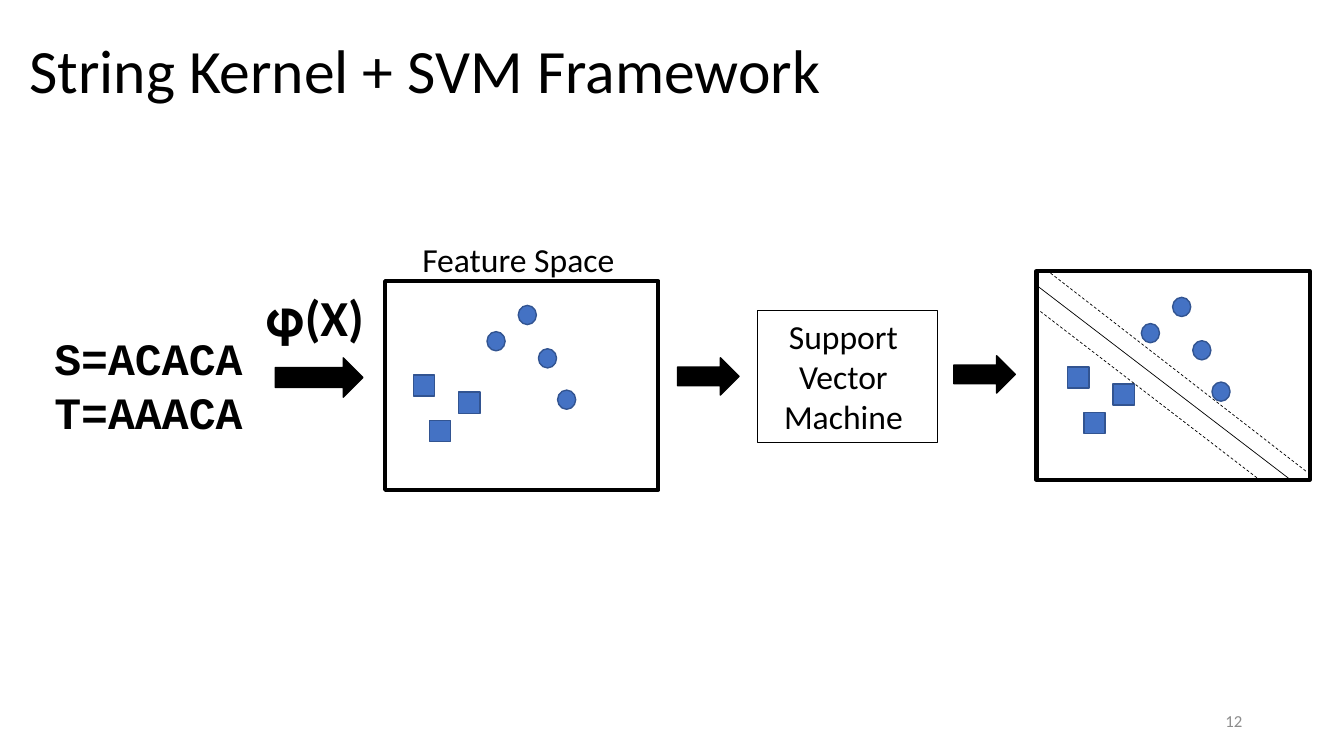
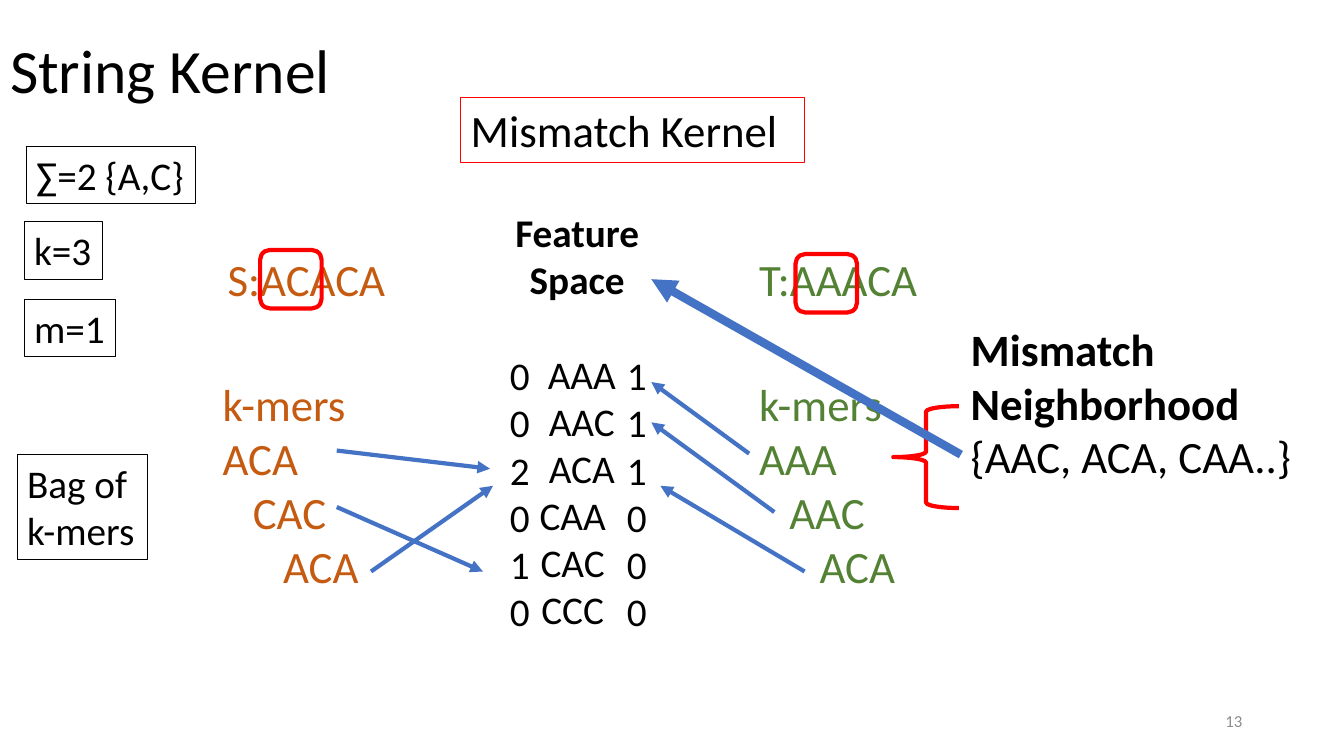
from lxml.etree import SubElement
from pptx import Presentation
from pptx.dml.color import RGBColor
from pptx.enum.dml import MSO_LINE
from pptx.enum.shapes import MSO_CONNECTOR, MSO_SHAPE
from pptx.enum.text import MSO_ANCHOR, MSO_AUTO_SIZE, PP_ALIGN
from pptx.oxml.ns import qn
from pptx.util import Inches, Pt

BLACK = RGBColor(0x00, 0x00, 0x00)
WHITE = RGBColor(0xFF, 0xFF, 0xFF)
RED = RGBColor(0xFF, 0x00, 0x00)
BLUE = RGBColor(0x44, 0x72, 0xC4)
DARK_BLUE = RGBColor(0x32, 0x54, 0x91)
ORANGE = RGBColor(0xC5, 0x5A, 0x11)
GREEN = RGBColor(0x54, 0x82, 0x35)
GRAY = RGBColor(0x8C, 0x8C, 0x8C)
BODY_FONT = "Calibri"
CODE_FONT = "Courier New"

CIRCLES = [(1.01, 0.5), (1.32, 0.24), (1.52, 0.67), (1.71, 1.08)]
SQUARES = [(0.28, 0.93), (0.73, 1.1), (0.44, 1.38)]


def format_runs(paras, size, color=BLACK, bold=False, font=BODY_FONT):
    """Give every run of the paragraphs the same character format."""
    for para in paras:
        for span in para.runs:
            span.font.name = font
            span.font.size = Pt(size)
            span.font.bold = bold
            span.font.color.rgb = color


def indent(para, left=0, right=0):
    """Indent a paragraph from either side of its box."""
    properties = para._p.get_or_add_pPr()
    properties.set("marL", str(Inches(left)))
    properties.set("marR", str(Inches(right)))


def add_text(page, text, at, size, color=BLACK, bold=False, font=BODY_FONT,
             align=PP_ALIGN.LEFT, wrap=True, border=None):
    """Add a text box that grows with its text, optionally framed."""
    box = page.shapes.add_textbox(*map(Inches, at))
    frame = box.text_frame
    frame.text = text
    frame.word_wrap = wrap
    frame.auto_size = MSO_AUTO_SIZE.SHAPE_TO_FIT_TEXT
    for para in frame.paragraphs:
        para.alignment = align
    format_runs(frame.paragraphs, size, color, bold, font)
    if border is not None:
        box.line.color.rgb = border
        box.line.width = Pt(0.75)
    return box


def add_shape(page, kind, at, fill, line, width):
    """Add a flat preset shape; without a fill it is see-through."""
    shape = page.shapes.add_shape(kind, *map(Inches, at))
    shape.shadow.inherit = False
    if fill is None:
        shape.fill.background()
    else:
        shape.fill.solid()
        shape.fill.fore_color.rgb = fill
    shape.line.color.rgb = line
    shape.line.width = Pt(width)
    return shape


def add_line(page, start, end, color, width):
    """Add a straight connector without a shadow."""
    line = page.shapes.add_connector(
        MSO_CONNECTOR.STRAIGHT, *map(Inches, (*start, *end)))
    line.line.color.rgb = color
    line.line.width = Pt(width)
    SubElement(line._element.spPr, qn("a:effectLst"))
    return line


def add_arrow(page, start, end, width=3):
    """Add a blue connector with a triangular head at its end."""
    arrow = add_line(page, start, end, BLUE, width)
    head = SubElement(arrow.line._get_or_add_ln(), qn("a:tailEnd"))
    head.set("type", "triangle")
    return arrow


def add_scatter(page, panel, origin):
    """Add a framed panel with the two classes of points."""
    add_shape(page, MSO_SHAPE.RECTANGLE, (*panel, 2.71, 2.07), WHITE, BLACK, 3)
    left, top = origin
    for kind, offsets, size in ((MSO_SHAPE.OVAL, CIRCLES, (0.18, 0.19)),
                                (MSO_SHAPE.RECTANGLE, SQUARES, (0.21, 0.21))):
        for x, y in offsets:
            add_shape(page, kind, (left + x, top + y, *size), BLUE, DARK_BLUE, 1)


def add_page(deck, title, left, number):
    """Add a slide with its title and page number."""
    page = deck.slides.add_slide(deck.slide_layouts[5])
    heading = page.shapes.title
    heading.left, heading.top = Inches(left), Inches(0)
    heading.width, heading.height = Inches(11.5), Inches(1.45)
    frame = heading.text_frame
    frame.text = title
    frame.auto_size = MSO_AUTO_SIZE.NONE
    frame.vertical_anchor = MSO_ANCHOR.MIDDLE
    frame.paragraphs[0].alignment = PP_ALIGN.LEFT
    frame.paragraphs[0].line_spacing = 0.9
    format_runs(frame.paragraphs, 44)
    footer = add_text(page, str(number), (9.42, 6.95, 3, 0.4), 12, GRAY,
                      align=PP_ALIGN.RIGHT)
    footer.text_frame.auto_size = MSO_AUTO_SIZE.NONE
    footer.text_frame.vertical_anchor = MSO_ANCHOR.MIDDLE
    return page


def build_framework(deck):
    """Build the slide that leads from strings to a separated feature space."""
    page = add_page(deck, "String Kernel + SVM Framework", 0.19, 12)
    add_text(page, "S=ACACA\nT=AAACA", (0.44, 3.23, 3.48, 1.18), 32,
             bold=True, font=CODE_FONT)
    add_text(page, "𝛗(X)", (2.53, 2.79, 1.18, 0.71), 36, bold=True,
             align=PP_ALIGN.CENTER, wrap=False)
    for at in ((2.73, 3.55, 0.87, 0.39), (6.72, 3.55, 0.61, 0.37),
               (9.46, 3.53, 0.61, 0.37)):
        add_shape(page, MSO_SHAPE.RIGHT_ARROW, at, BLACK, BLACK, 1)
    add_scatter(page, (3.82, 2.79), (3.82, 2.79))
    add_text(page, "Feature Space", (4.09, 2.32, 2.7, 0.5), 24)
    machine = add_text(page, "Support\nVector\nMachine", (7.51, 3.08, 1.79, 1.31),
                       24, align=PP_ALIGN.CENTER, border=BLACK)
    for para in machine.text_frame.paragraphs[:2]:
        indent(para, right=0.08)
    add_scatter(page, (10.28, 2.69), (10.31, 2.71))
    add_line(page, (10.28, 2.83), (12.8, 4.76), BLACK, 0.5)
    for start, end in (((10.42, 2.71), (12.96, 4.68)),
                       ((10.28, 3.06), (12.48, 4.75))):
        margin = add_line(page, start, end, BLACK, 0.5)
        margin.line.dash_style = MSO_LINE.DASH


def add_string(page, text, kmers, color, text_left, kmers_at, window):
    """Add a string with its marked window and its staggered k-mers."""
    add_text(page, text, (text_left, 2.45, 3.74, 0.64), 32, color)
    box = add_text(page, "\n".join(["k-mers", *kmers]), kmers_at, 32, color)
    for step, para in enumerate(box.text_frame.paragraphs[1:]):
        indent(para, left=0.3 * step)
    add_shape(page, MSO_SHAPE.ROUNDED_RECTANGLE, (*window, 0.61, 0.58),
              None, RED, 3)


def add_feature_space(page):
    """Add the k-mer list with the counts of both strings beside it."""
    kmers = ["AAA", "AAC", "ACA", "CAA", "CAC", "CCC"]
    box = add_text(page, "\n".join(["Feature Space", *kmers]),
                   (4.99, 2.02, 1.47, 4.34), 28, bold=True,
                   align=PP_ALIGN.CENTER)
    rows = box.text_frame.paragraphs[1:]
    format_runs(rows, 28)
    rows[0].space_before = Pt(34)
    for para in rows[:3]:
        indent(para, left=0.09)
    for para in rows[3:]:
        indent(para, right=0.09)
    for left, counts in ((4.96, "002010"), (6.12, "111000")):
        add_text(page, "\n".join(counts), (left, 3.44, 0.53, 2.93), 28)
    return box


def build_mismatch(deck):
    """Build the slide that counts k-mers with the mismatch kernel."""
    page = add_page(deck, "String Kernel", 0, 13)
    for text, at in (("∑=2 {A,C}", (0.26, 1.45, 1.68, 0.57)),
                     ("k=3", (0.24, 2.2, 0.78, 0.57)),
                     ("m=1", (0.24, 2.97, 0.91, 0.57)),
                     ("Bag of\nk-mers", (0.17, 4.51, 1.29, 1.04))):
        add_text(page, text, at, 28, wrap=False, border=BLACK)
    add_text(page, "Mismatch Kernel", (4.57, 0.97, 3.41, 0.64), 32, border=RED)
    add_string(page, "S:ACACA", ["ACA", "CAC", "ACA"], ORANGE, 2.16,
               (2.11, 3.69, 2.17, 2.26), (2.58, 2.48))
    add_string(page, "T:AAACA", ["AAA", "AAC", "ACA"], GREEN, 7.43,
               (7.43, 3.69, 2.02, 2.26), (7.89, 2.52))
    features = add_feature_space(page)
    for start, end in (((3.34, 4.47), (4.86, 4.65)),
                       ((3.34, 5.03), (4.79, 5.67)),
                       ((3.68, 5.67), (4.89, 4.82)),
                       ((7.43, 4.5), (6.46, 3.79)),
                       ((7.98, 5.67), (6.55, 4.82))):
        add_arrow(page, start, end)
    add_arrow(page, (7.68, 5.08), (6.46, 4.19)).end_connect(features, 3)
    neighbors = add_text(page, "Mismatch Neighborhood\n{AAC, ACA, CAA..}",
                         (9.53, 3.14, 3.8, 1.72), 32, bold=True)
    format_runs(neighbors.text_frame.paragraphs[1:], 32)
    add_shape(page, MSO_SHAPE.LEFT_BRACE, (8.86, 4.03, 0.65, 1.01), None, RED, 3)
    add_arrow(page, (9.53, 4.51), (6.46, 2.77), 6)


def main():
    """Build the deck and save it."""
    deck = Presentation()
    deck.slide_width, deck.slide_height = Inches(13.33), Inches(7.5)
    build_framework(deck)
    build_mismatch(deck)
    deck.save("out.pptx")


if __name__ == "__main__":
    main()
